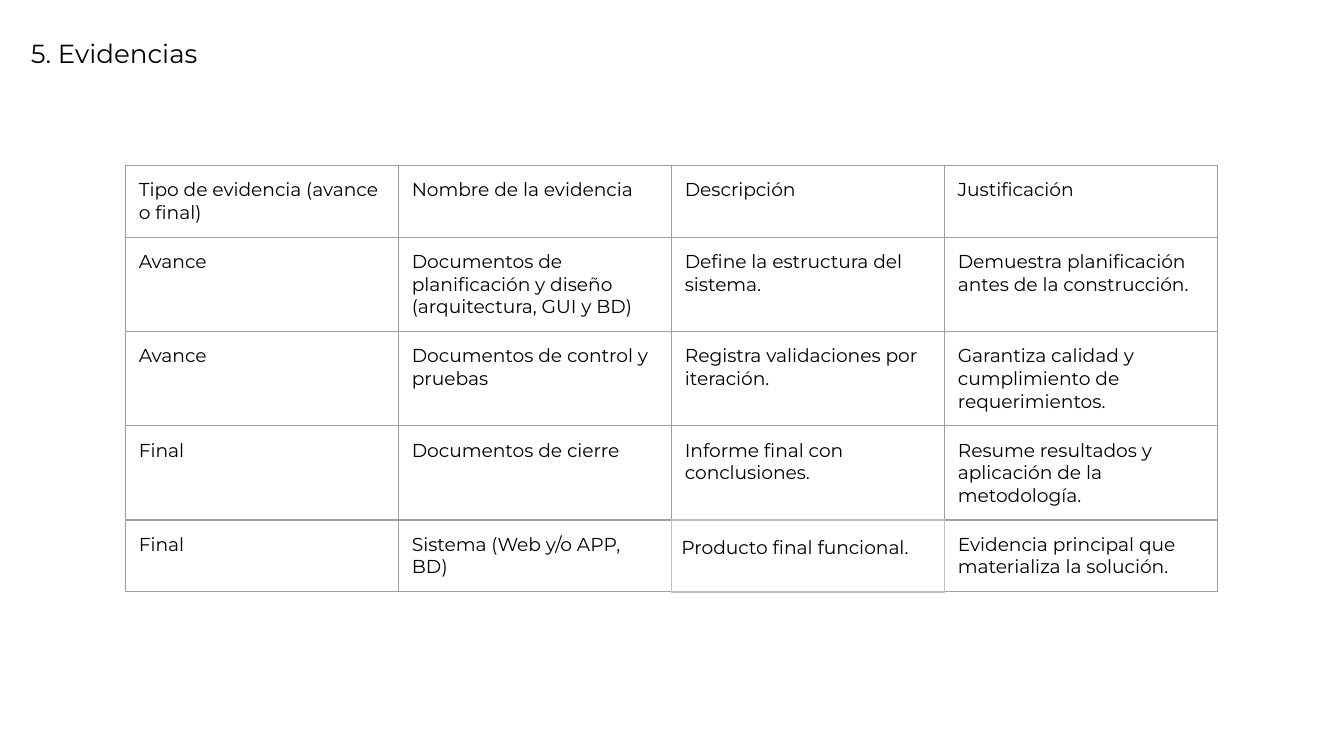
import pptx
import pptx.dml.color
import pptx.enum.text
import pptx.oxml.ns
import pptx.util
from lxml import etree

Pt = pptx.util.Pt

FONT = "Montserrat"
COLORS = {"text": "000000", "grid": "9E9E9E", "light_grid": "BFBFBF"}
INSET = 7.2
COLUMN_WIDTH = 146.25
ROW_HEIGHT = 34
PRODUCT_CELL = (4, 2)
SIDES = {"L": (0, -1), "R": (0, 1), "T": (-1, 0), "B": (1, 0)}

EVIDENCE = [
    ["Tipo de evidencia (avance o final)", "Nombre de la evidencia",
     "Descripción", "Justificación"],
    ["Avance", "Documentos de planificación y diseño (arquitectura, GUI y BD)",
     "Define la estructura del sistema.",
     "Demuestra planificación antes de la construcción."],
    ["Avance", "Documentos de control y pruebas",
     "Registra validaciones por iteración.",
     "Garantiza calidad y cumplimiento de requerimientos."],
    ["Final", "Documentos de cierre", "Informe final con conclusiones.",
     "Resume resultados y aplicación de la metodología."],
    ["Final", "Sistema (Web y/o APP, BD)", "Producto final funcional.",
     "Evidencia principal que materializa la solución."],
]


def write_text(frame, text, size):
    frame.word_wrap = True
    paragraph = frame.paragraphs[0]
    paragraph.text = text
    paragraph.font.name = FONT
    paragraph.font.size = Pt(size)
    paragraph.font.color.rgb = pptx.dml.color.RGBColor.from_string(COLORS["text"])


def set_insets(target, horizontal=INSET):
    """Set the margins of a text frame or a table cell."""
    target.margin_left = target.margin_right = Pt(horizontal)
    target.margin_top = target.margin_bottom = Pt(INSET)


def set_border(cell, position, side, color, width):
    line = etree.Element(pptx.oxml.ns.qn(f"a:ln{side}"), w=str(Pt(width)))
    fill = etree.SubElement(line, pptx.oxml.ns.qn("a:solidFill"))
    etree.SubElement(fill, pptx.oxml.ns.qn("a:srgbClr"), val=color)
    cell._tc.get_or_add_tcPr().insert(position, line)


def draw_borders(cell, row, column):
    """Use the light line on every side that touches the product cell."""
    for position, (side, (down, across)) in enumerate(SIDES.items()):
        neighbour = (row + down, column + across)
        if PRODUCT_CELL in ((row, column), neighbour):
            set_border(cell, position, side, COLORS["light_grid"], 1)
        else:
            set_border(cell, position, side, COLORS["grid"], 0.75)


def add_title(slide, text):
    title = slide.shapes.add_textbox(Pt(9.4), Pt(13), Pt(671), Pt(45.4))
    set_insets(title.text_frame)
    write_text(title.text_frame, text, 14)


def add_evidence_table(slide):
    row_count, column_count = len(EVIDENCE), len(EVIDENCE[0])
    table = slide.shapes.add_table(
        row_count, column_count, Pt(67.2), Pt(88.6),
        Pt(COLUMN_WIDTH * column_count), Pt(ROW_HEIGHT * row_count)).table
    table.first_row = table.horz_banding = False
    for row, texts in enumerate(EVIDENCE):
        for column, text in enumerate(texts):
            cell = table.cell(row, column)
            set_insets(cell)
            write_text(cell.text_frame, text, 10)
            cell.fill.background()
            draw_borders(cell, row, column)

    product = table.cell(*PRODUCT_CELL)
    set_insets(product, horizontal=5.4)
    paragraph = product.text_frame.paragraphs[0]
    paragraph.alignment = pptx.enum.text.PP_ALIGN.JUSTIFY
    paragraph.line_spacing = 1.15


def main():
    deck = pptx.Presentation()
    deck.slide_width, deck.slide_height = Pt(720), Pt(405)
    slide = deck.slides.add_slide(deck.slide_layouts[6])
    add_title(slide, "5. Evidencias")
    add_evidence_table(slide)
    deck.save("out.pptx")


if __name__ == "__main__":
    main()
